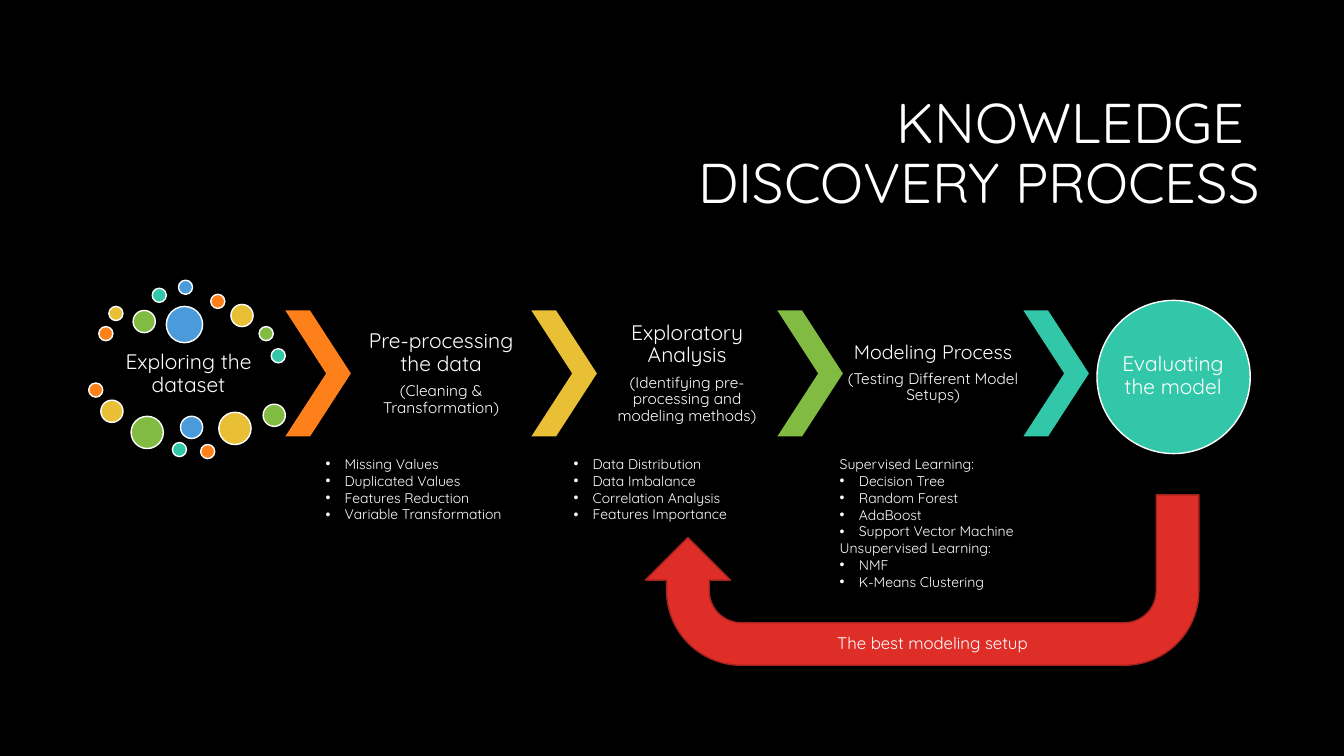
from lxml import etree
from pptx import Presentation
from pptx.dml.color import RGBColor
from pptx.enum.shapes import MSO_SHAPE as Shape
from pptx.enum.text import MSO_ANCHOR as Anchor, PP_ALIGN as Align
from pptx.oxml.ns import qn
from pptx.util import Inches, Pt

FONT = "Quicksand"
WHITE = "FFFFFF"
ORANGE, YELLOW, GREEN, TEAL, BLUE = "FE801A", "E9BF35", "81BB42", "32C7A9", "4A9BDC"


def color(value):
    return RGBColor.from_string(value)


def add_text(box, lines, align=Align.CENTER, inset=0.02, spacing=0.9, anchor=Anchor.MIDDLE):
    """Fill a new text box; each line is (text, size, bulleted)."""
    frame = slide.shapes.add_textbox(*[Inches(n) for n in box]).text_frame
    frame.word_wrap = True
    frame.vertical_anchor = anchor
    if inset is not None:
        frame.margin_left = frame.margin_right = Inches(inset)
        frame.margin_top = frame.margin_bottom = Inches(inset)
    for index, (text, size, bulleted) in enumerate(lines):
        paragraph = frame.add_paragraph() if index else frame.paragraphs[0]
        paragraph.alignment = align
        paragraph.line_spacing = spacing
        if index < len(lines) - 1 and spacing < 1:
            paragraph.space_after = Pt(0.35 * size)
        if bulleted:
            properties = paragraph._p.get_or_add_pPr()
            properties.set("marL", str(Inches(0.19)))
            properties.set("indent", str(-Inches(0.19)))
            etree.SubElement(properties, qn("a:buFont"), typeface="Arial")
            etree.SubElement(properties, qn("a:buChar"), char="•")
        for part, words in enumerate(text.split("\n")):
            if part:
                paragraph.add_line_break()
            run = paragraph.add_run()
            run.text = words
            run.font.name = FONT
            run.font.size = Pt(size)
            run.font.color.rgb = color(WHITE)


def add_shape(kind, box, fill, line=None):
    shape = slide.shapes.add_shape(kind, *[Inches(n) for n in box])
    shape.shadow.inherit = False
    shape.fill.solid()
    shape.fill.fore_color.rgb = color(fill)
    if line:
        shape.line.color.rgb = color(line)
        shape.line.width = Pt(1)
    else:
        shape.line.fill.background()
    return shape


presentation = Presentation()
presentation.slide_width = Inches(13.33)
presentation.slide_height = Inches(7.5)
slide = presentation.slides.add_slide(presentation.slide_layouts[6])
slide.background.fill.solid()
slide.background.fill.fore_color.rgb = color("000000")

# Title
add_text((3.17, 0.83, 9.42, 1.42), [("KNOWLEDGE \nDISCOVERY PROCESS", 40, False)],
         Align.RIGHT, inset=None)

# Dataset: label inside a ring of dots
add_text((0.98, 3.42, 1.78, 0.59), [("Exploring the dataset", 15, False)])
dot_colors = [ORANGE, YELLOW, GREEN, TEAL, BLUE]
dots = [
    (0.98, 3.24, 0.14), (1.08, 3.04, 0.14), (1.32, 3.08, 0.22), (1.51, 2.86, 0.14),
    (1.77, 2.78, 0.14), (2.09, 2.92, 0.14), (2.29, 3.02, 0.22), (2.57, 3.24, 0.14),
    (2.69, 3.46, 0.14), (1.65, 3.04, 0.36), (0.88, 3.80, 0.14), (1.00, 3.97, 0.22),
    (1.30, 4.13, 0.32), (1.71, 4.39, 0.14), (1.79, 4.13, 0.22), (1.99, 4.41, 0.14),
    (2.17, 4.09, 0.32), (2.61, 4.01, 0.22),
]
for index, (left, top, size) in enumerate(dots):
    add_shape(Shape.OVAL, (left, top, size, size), dot_colors[index % 5], WHITE)

# Chevrons, each followed by a step, at an equal pitch
steps = [
    (ORANGE, [("Pre-processing the data", 15, False), ("(Cleaning & Transformation)", 11, False)]),
    (YELLOW, [("Exploratory Analysis", 15, False),
              ("(Identifying pre-processing and modeling methods)", 11, False)]),
    (GREEN, [("Modeling Process", 14, False), ("(Testing Different Model Setups)", 11, False)]),
    (TEAL, None),
]
for index, (fill, lines) in enumerate(steps):
    left = 2.83 + index * 2.44
    chevron = add_shape(Shape.CHEVRON, (left, 3.08, 0.65, 1.25), fill)
    chevron.adjustments[0] = 0.623
    if lines:
        add_text((left + 0.65, 3.08, 1.79, 1.25), lines)

# Evaluation circle
add_shape(Shape.OVAL, (10.88, 2.98, 1.52, 1.52), TEAL, WHITE)
add_text((11.1, 3.2, 1.07, 1.07), [("Evaluating the model", 15, False)], inset=0)

# Feedback arrow
feedback = add_shape(Shape.U_TURN_ARROW, (6.4, 4.91, 5.49, 1.69), "DF2E28", "A5221E")
feedback.rotation = 180
add_text((7.73, 6.23, 3.04, 0.3), [("The best modeling setup", 12, False)],
         inset=None, spacing=1.0, anchor=Anchor.TOP)

# Details under the steps; a line ending in a colon is a heading
details = [
    (3.13, 0.77, ["Missing Values", "Duplicated Values", "Features Reduction",
                  "Variable Transformation"]),
    (5.59, 0.77, ["Data Distribution", "Data Imbalance", "Correlation Analysis",
                  "Features Importance"]),
    (8.23, 1.45, ["Supervised Learning:", "Decision Tree", "Random Forest", "AdaBoost",
                  "Support Vector Machine", "Unsupervised Learning:", "NMF",
                  "K-Means Clustering"]),
]
for left, height, items in details:
    add_text((left, 4.47, 2.05, height), [(item, 10, not item.endswith(":")) for item in items],
             Align.JUSTIFY, inset=None, spacing=1.0, anchor=Anchor.TOP)

presentation.save("out.pptx")
